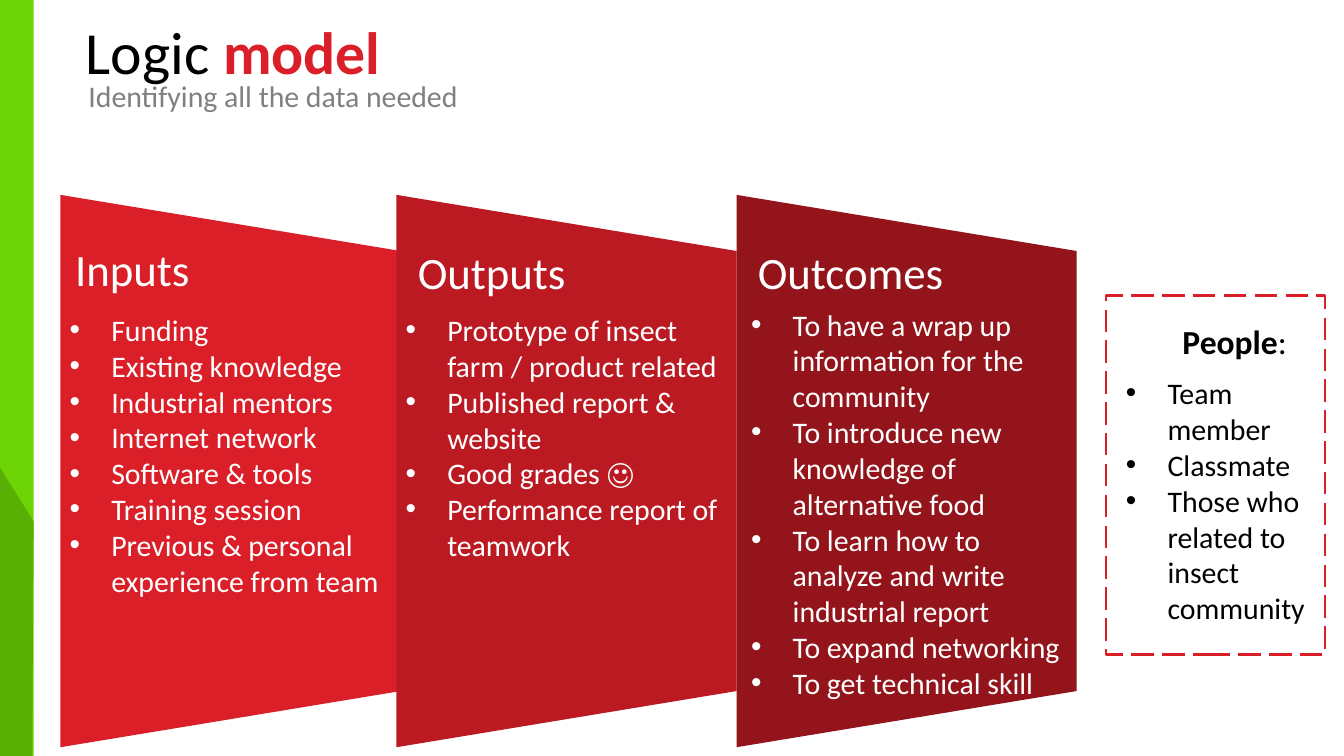
from lxml import etree
from pptx import Presentation
from pptx.dml.color import RGBColor
from pptx.enum import dml, shapes
from pptx.oxml import ns
from pptx.util import Inches, Pt

BLACK = RGBColor(0x00, 0x00, 0x00)
WHITE = RGBColor(0xFF, 0xFF, 0xFF)
GRAY = RGBColor(0x80, 0x80, 0x80)
LIME = RGBColor(0x6D, 0xD4, 0x06)
GREEN = RGBColor(0x5A, 0xAF, 0x05)
RED = RGBColor(0xDA, 0x1F, 0x28)
CRIMSON = RGBColor(0xBC, 0x1A, 0x22)
MAROON = RGBColor(0x93, 0x15, 0x1B)

deck = Presentation()
deck.slide_width = Inches(10)
deck.slide_height = deck.slide_width * 9 // 16
page = deck.slides.add_slide(deck.slide_layouts[6])


def add_text(bounds, lines, size, color, bulleted=False):
    """Add a text box with one paragraph per line and return its paragraphs."""
    box = page.shapes.add_textbox(*map(Inches, bounds))
    frame = box.text_frame
    frame.word_wrap = True
    frame.text = "\n".join(lines)
    for para in frame.paragraphs:
        if bulleted:
            props = para._p.get_or_add_pPr()
            props.set("marL", str(Inches(0.31)))
            props.set("indent", str(Inches(-0.31)))
            etree.SubElement(props, ns.qn("a:buFont")).set("typeface", "Arial")
            etree.SubElement(props, ns.qn("a:buChar")).set("char", "•")
        para.font.name = "Calibri"
        para.font.size = Pt(size)
        para.font.color.rgb = color
    return frame.paragraphs


def paint(shape, color):
    shape.shadow.inherit = False
    shape.fill.solid()
    shape.fill.fore_color.rgb = color
    shape.line.fill.background()


# Green side band
band = page.shapes.add_shape(
    shapes.MSO_SHAPE.RECTANGLE, 0, 0, Inches(0.25), deck.slide_height)
paint(band, LIME)
outline = page.shapes.build_freeform(0, Inches(3.48))
outline.add_line_segments([
    (Inches(0.25), Inches(3.88)),
    (Inches(0.24), deck.slide_height),
    (0, deck.slide_height),
])
paint(outline.convert_to_shape(), GREEN)

# Title and subtitle
title = add_text((0.54, 0.06, 3.71, 0.64), ["Logic "], 32, BLACK)[0]
accent = title.add_run()
accent.text = "model"
accent.font.bold = True
accent.font.color.rgb = RED
add_text((0.56, 0.53, 3.24, 0.37), ["Identifying all the data needed"], 16, GRAY)

# People panel
people = add_text((8.7, 2.34, 1.16, 0.24), ["People"], 18, BLACK)[0]
people.runs[0].font.bold = True
people.add_run().text = ":"
panel = page.shapes.add_shape(
    shapes.MSO_SHAPE.RECTANGLE, Inches(8.23), Inches(2.2), Inches(1.63), Inches(2.67))
panel.shadow.inherit = False
panel.fill.background()
panel.line.color.rgb = RED
panel.line.width = Pt(1.5)
panel.line.dash_style = dml.MSO_LINE.LONG_DASH
add_text((8.28, 2.74, 1.53, 1.81),
         ["Team member", "Classmate", "Those who related to insect community"],
         16, BLACK, bulleted=True)

# Stages: trapezoid left, color, heading and its bounds, items and their bounds
stages = [
    (-0.34, RED, "Inputs", (0.46, 1.75, 1.25, 0.5),
     ["Funding", "Existing knowledge", "Industrial mentors", "Internet network",
      "Software & tools", "Training session",
      "Previous & personal experience from team"],
     (0.42, 2.27, 2.56, 2.26)),
    (2.16, CRIMSON, "Outputs", (3.01, 1.77, 1.41, 0.5),
     ["Prototype of insect farm / product related", "Published report & website",
      "Good grades ☺", "Performance report of teamwork"],
     (2.92, 2.27, 2.56, 1.99)),
    (4.69, MAROON, "Outcomes", (5.54, 1.77, 1.79, 0.5),
     ["To have a wrap up information for the community",
      "To introduce new knowledge of alternative food",
      "To learn how to analyze and write industrial report",
      "To expand networking", "To get technical skill"],
     (5.49, 2.23, 2.56, 3.06)),
]
for left, color, heading, heading_bounds, items, items_bounds in stages:
    stage = page.shapes.add_shape(
        shapes.MSO_SHAPE.TRAPEZOID, Inches(left), Inches(2.24), Inches(4.11), Inches(2.53))
    stage.rotation = 90
    stage.adjustments[0] = 0.165
    paint(stage, color)
    add_text(items_bounds, items, 16, WHITE, bulleted=True)
    add_text(heading_bounds, [heading], 24, WHITE)

deck.save("out.pptx")
